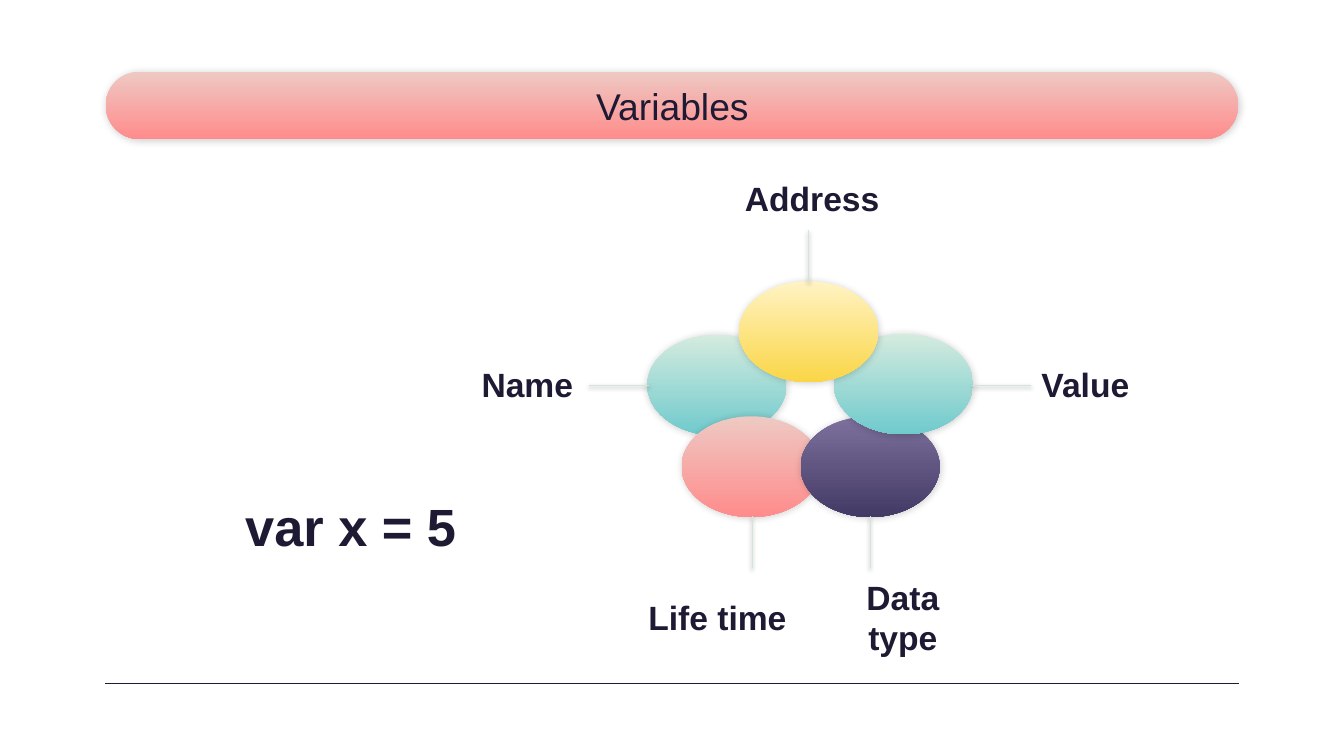
import pptx
import pptx.dml.color
import pptx.enum.shapes
import pptx.enum.text
import pptx.oxml
import pptx.oxml.ns
import pptx.util
from pptx.util import Inches

COLORS = {
    "ink": "1F1A33",
    "stem": "CFE6D9",
    "shadow": "000000",
    "mint": "D4EBDE",
    "teal": "70CACD",
    "blush": "EEC9C3",
    "coral": "FF8C8C",
    "lilac": "7E719E",
    "violet": "423A64",
    "cream": "FFF3C4",
    "gold": "FAD647",
}
PETAL_WIDTH, PETAL_HEIGHT = 1.38, 1
LABEL_HEIGHT = 0.43

# Left and top of the petal, gradient, then both ends of its stem
PETALS = [
    (6.42, 3.32, ("mint", "teal"), (6.44, 3.82), (5.84, 3.82)),
    (6.76, 4.13, ("blush", "coral"), (7.46, 5.64), (7.46, 5.12)),
    (7.94, 4.13, ("lilac", "violet"), (8.63, 5.64), (8.63, 5.12)),
    (8.27, 3.31, ("mint", "teal"), (10.23, 3.82), (9.64, 3.82)),
    (7.33, 2.79, ("cream", "gold"), (8.02, 2.8), (8.02, 2.28)),
]
# Wording, left, top, width, size
LABELS = [
    ("Address", 6.76, 1.75, 2.59, 24),
    ("Value", 9.78, 3.6, 1.97, 24),
    ("Name", 4.63, 3.6, 1.2, 24),
    ("Life time", 6.29, 5.91, 1.65, 24),
    ("Data type", 8.13, 5.91, 1.65, 24),
    ("var x = 5", 2.16, 5, 2.64, 37.4),
]


class SlideBuilder:
    font = "Arial"

    def __init__(self, slide):
        self.shapes = slide.shapes

    def color(self, name):
        return pptx.dml.color.RGBColor.from_string(COLORS[name])

    def effects(self, shape, alpha=None, blur=0, distance=0, angle=0):
        """Replace the theme's effects by one outer shadow, or by none."""
        shadow = ""
        if alpha is not None:
            shadow = (
                f'<a:outerShdw blurRad="{pptx.util.Pt(blur)}" dist="{pptx.util.Pt(distance)}"'
                f' dir="{angle * 60000}" algn="bl" rotWithShape="0">'
                f'<a:srgbClr val="{COLORS["shadow"]}"><a:alpha val="{alpha * 1000}"/>'
                "</a:srgbClr></a:outerShdw>"
            )
        namespace = pptx.oxml.ns.nsdecls("a")
        shape._element.spPr.append(
            pptx.oxml.parse_xml(f"<a:effectLst {namespace}>{shadow}</a:effectLst>")
        )

    def gradient_shape(self, kind, left, top, width, height, gradient):
        shape = self.shapes.add_shape(
            kind, Inches(left), Inches(top), Inches(width), Inches(height)
        )
        shape.fill.gradient()
        shape.fill.gradient_angle = 270
        for stop, name in zip(shape.fill.gradient_stops, gradient):
            stop.color.rgb = self.color(name)
        shape.line.fill.background()
        self.effects(shape, alpha=20, blur=5.6, distance=0.8, angle=66)
        return shape

    def line(self, start, end, color, **shadow):
        line = self.shapes.add_connector(
            pptx.enum.shapes.MSO_CONNECTOR.STRAIGHT,
            *(Inches(value) for value in (*start, *end)),
        )
        line.line.color.rgb = self.color(color)
        line.line.width = pptx.util.Pt(0.75)
        self.effects(line, **shadow)

    def text(self, wording, left, top, width, height, size, bold=True, inset=0.13):
        box = self.shapes.add_textbox(
            Inches(left), Inches(top), Inches(width), Inches(height)
        )
        frame = box.text_frame
        frame.word_wrap = True
        frame.vertical_anchor = pptx.enum.text.MSO_ANCHOR.MIDDLE
        frame.margin_left = frame.margin_right = Inches(inset)
        frame.margin_top = frame.margin_bottom = Inches(inset)
        paragraph = frame.paragraphs[0]
        paragraph.alignment = pptx.enum.text.PP_ALIGN.CENTER
        run = paragraph.add_run()
        run.text = wording
        run.font.name = self.font
        run.font.size = pptx.util.Pt(size)
        run.font.bold = bold
        run.font.color.rgb = self.color("ink")


def main():
    presentation = pptx.Presentation()
    presentation.slide_width = Inches(13.33)
    presentation.slide_height = Inches(7.5)
    builder = SlideBuilder(presentation.slides.add_slide(presentation.slide_layouts[6]))
    shape_kinds = pptx.enum.shapes.MSO_SHAPE

    banner = builder.gradient_shape(
        shape_kinds.ROUNDED_RECTANGLE, 1.05, 0.71, 11.23, 0.67, ("blush", "coral")
    )
    banner.adjustments[0] = 0.5
    builder.line((1.04, 6.78), (12.29, 6.78), "ink")
    builder.text("Variables", 3.3, 0.71, 6.74, 0.67, 26.6, bold=False, inset=0.1)

    for left, top, gradient, stem_start, stem_end in PETALS:
        builder.gradient_shape(
            shape_kinds.OVAL, left, top, PETAL_WIDTH, PETAL_HEIGHT, gradient
        )
        builder.line(
            stem_start, stem_end, "stem", alpha=38, blur=3.1, distance=1.6, angle=90
        )

    for wording, left, top, width, size in LABELS:
        builder.text(wording, left, top, width, LABEL_HEIGHT, size)

    presentation.save("out.pptx")


if __name__ == "__main__":
    main()
